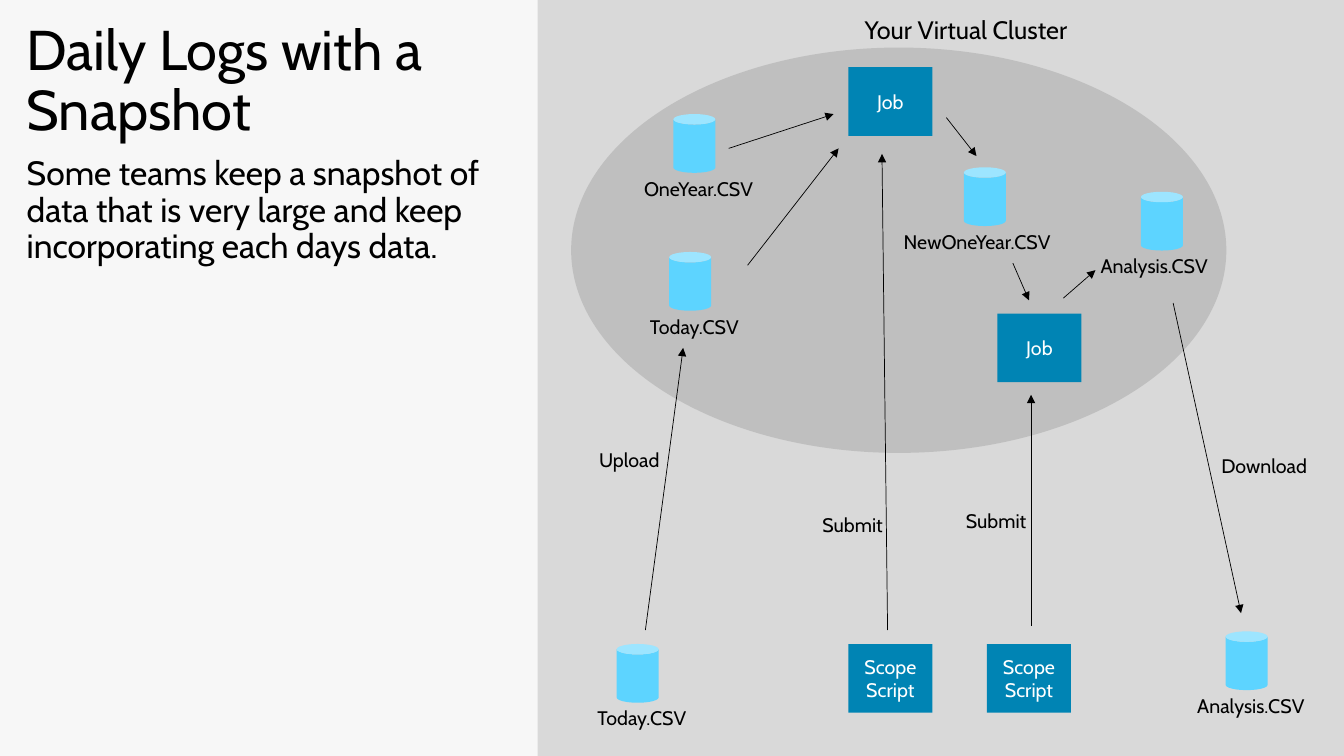
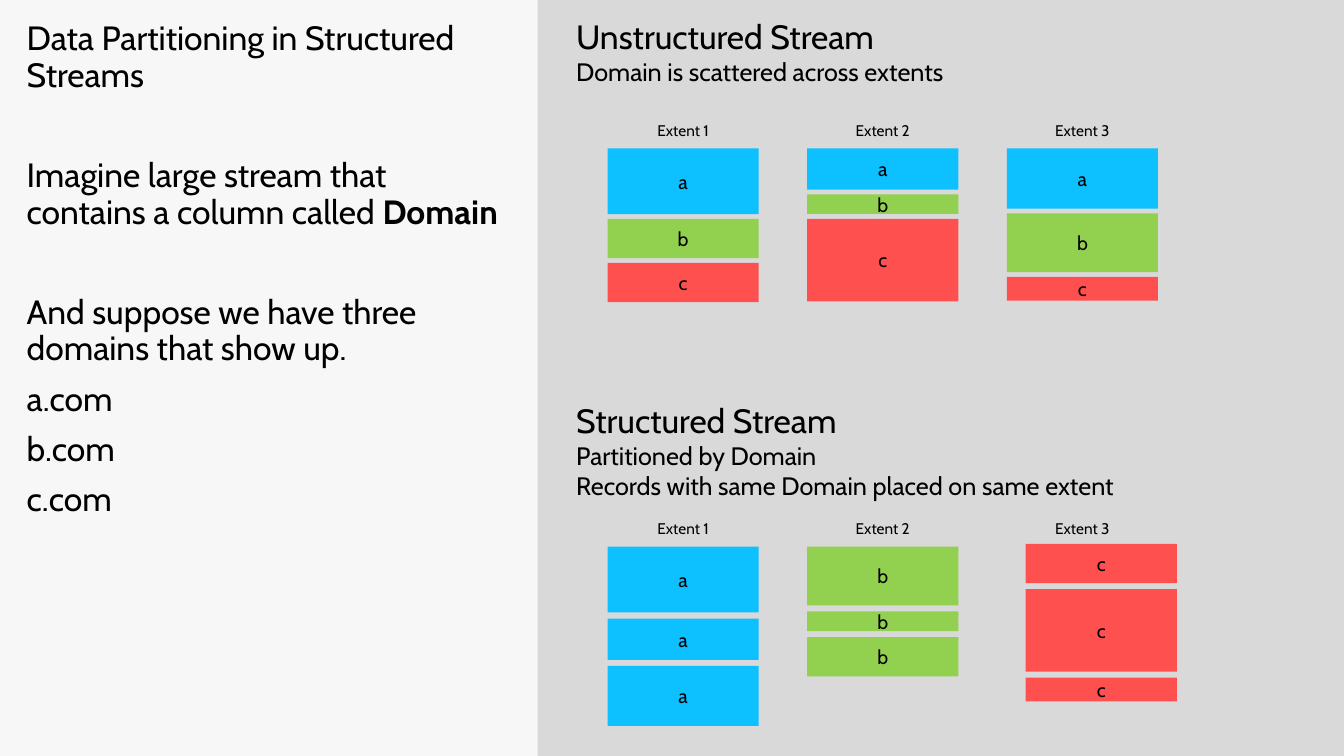
from pptx import Presentation
from pptx.dml.color import RGBColor
from pptx.enum.shapes import MSO_CONNECTOR, MSO_SHAPE as SHAPE
from pptx.enum.text import MSO_ANCHOR as ANCHOR, PP_ALIGN as ALIGN
from pptx.oxml.ns import qn
from pptx.util import Pt

FONT = "Cabin"
COLORS = {
    "page": "F7F7F7", "panel": "D9D9D9", "cluster": "BFBFBF", "store": "5DD4FF",
    "job": "0084B4", "text": "000000", "light": "FFFFFF",
    "a": "0DC0FF", "b": "92D050", "c": "FF5050",
}
WIDTH, HEIGHT = 960, 540
PANEL_X = 384
# Heights of each domain's pieces, as scattered over the three extents
PIECES = {"a": (47, 29.5, 43), "b": (28, 14, 42), "c": (28, 59, 17)}


def rgb(name):
    return RGBColor.from_string(COLORS[name])


def format_paragraph(p, size, color="text", align=ALIGN.LEFT):
    p.alignment = align
    for r in p.runs:
        r.font.size = Pt(size)
        r.font.name = FONT
        r.font.color.rgb = rgb(color)


def add_text(sl, x, y, w, h, lines, anchor=ANCHOR.TOP, align=ALIGN.LEFT):
    """Add a text box from (text, size) lines and return its paragraphs."""
    tf = sl.shapes.add_textbox(Pt(x), Pt(y), Pt(w), Pt(h)).text_frame
    tf.word_wrap = True
    tf.vertical_anchor = anchor
    tf.text = "\n".join(text for text, _ in lines)
    for p, (_, size) in zip(tf.paragraphs, lines):
        format_paragraph(p, size, align=align)
    return tf.paragraphs


def add_label(sl, center, y, text, size=14, w=140, h=30):
    add_text(sl, center - w / 2, y, w, h, [(text, size)], ANCHOR.MIDDLE, ALIGN.CENTER)


def add_block(sl, kind, x, y, w, h, fill, text="", color="text"):
    sp = sl.shapes.add_shape(kind, Pt(x), Pt(y), Pt(w), Pt(h))
    sp.shadow.inherit = False
    sp.fill.solid()
    sp.fill.fore_color.rgb = rgb(fill)
    sp.line.fill.background()
    if text:
        tf = sp.text_frame
        tf.margin_top = tf.margin_bottom = 0
        tf.word_wrap = True
        tf.vertical_anchor = ANCHOR.MIDDLE
        tf.text = text
        format_paragraph(tf.paragraphs[0], 14, color, ALIGN.CENTER)


def add_arrow(sl, x1, y1, x2, y2):
    line = sl.shapes.add_connector(MSO_CONNECTOR.STRAIGHT, Pt(x1), Pt(y1), Pt(x2), Pt(y2))
    line.line.color.rgb = rgb("text")
    line.line.width = Pt(0.5)
    ln = line.line._get_or_add_ln()
    ln.append(ln.makeelement(qn("a:tailEnd"), {"type": "triangle"}))
    ln.addnext(ln.makeelement(qn("a:effectLst"), {}))


def add_store(sl, x, y, name, label_shift=3):
    add_block(sl, SHAPE.CAN, x, y, 30, 42, "store")
    add_label(sl, x + 15 + label_shift, y + 38, name)


def new_slide(prs):
    sl = prs.slides.add_slide(prs.slide_layouts[6])
    add_block(sl, SHAPE.RECTANGLE, PANEL_X, 0, WIDTH - PANEL_X, HEIGHT, "panel")
    return sl


def add_side_text(sl, lines, gaps):
    """Fill the left column; gaps holds the space before each paragraph."""
    paragraphs = add_text(sl, 12, 12, 354, 516, lines)
    for p, gap in zip(paragraphs, gaps):
        p.line_spacing = 0.9
        p.space_before = Pt(gap)
    return paragraphs


def add_cluster_diagram(sl, x, y):
    add_block(sl, SHAPE.OVAL, x + 24, y + 34, 468, 289.5, "cluster")
    add_label(sl, x + 306, y + 6, "Your Virtual Cluster", 18, 170)

    for dx, dy, name, shift in (
        (97, 81.5, "OneYear.CSV", 3),
        (94, 180, "Today.CSV", 3),
        (56.5, 460, "Today.CSV", 3),
        (304.5, 119.5, "NewOneYear.CSV", -5.5),
        (431, 137, "Analysis.CSV", -5.5),
        (491.5, 451, "Analysis.CSV", 3),
    ):
        add_store(sl, x + dx, y + dy, name, shift)

    for dx, dy, text in (
        (222, 48, "Job"),
        (328.5, 224, "Job"),
        (222, 460, "Scope Script"),
        (321, 460, "Scope Script"),
    ):
        add_block(sl, SHAPE.RECTANGLE, x + dx, y + dy, 60, 49, "job", text, "light")

    for x1, y1, x2, y2 in (
        (77, 450, 104, 248.5),
        (250, 450, 246, 110),
        (352.5, 447, 352.5, 282),
        (136.5, 106, 211.5, 81.5),
        (150, 189.5, 215, 106),
        (292, 84, 313.5, 111.5),
        (339.5, 188, 351, 214.5),
        (375.5, 213, 398.5, 193),
        (454, 216.5, 502.5, 438),
    ):
        add_arrow(sl, x + x1, y + y1, x + x2, y + y2)

    for center, dy, text in (
        (65.5, 313, "Upload"),
        (225, 360, "Submit"),
        (327.5, 357, "Submit"),
        (519, 318, "Download"),
    ):
        add_label(sl, x + center, y + dy, text)


def add_stream(sl, x, y, title, notes, extents, extents_y, gap, last_shift=(0, 0)):
    """Place a heading and three columns of (domain, piece) blocks."""
    lines = [(title, 24)] + [(note, 18) for note in notes]
    add_text(sl, x, y, 431, extents_y, lines)
    width, pitch = 108, 142.6
    for i, extent in enumerate(extents):
        left = x + 29.5 + i * pitch
        add_label(sl, left + width / 2, y + extents_y, f"Extent {i + 1}", 11, width, 16.5)
        top = y + extents_y + 21
        if i == len(extents) - 1:
            left, top = left + last_shift[0], top + last_shift[1]
        for domain, piece in extent:
            h = PIECES[domain][piece]
            add_block(sl, SHAPE.RECTANGLE, left, top, width, h, domain, domain)
            top += h + gap


def daily_logs_slide(prs):
    sl = new_slide(prs)
    add_cluster_diagram(sl, PANEL_X, 0)
    add_side_text(sl, [
        ("Daily Logs with a Snapshot", 40),
        ("Some teams keep a snapshot of data that is very large and keep "
         "incorporating each days data.", 24),
    ], (0, 10))


def partitioning_slide(prs):
    sl = new_slide(prs)
    texts = (
        "Data Partitioning in Structured Streams",
        "Imagine large stream that contains a column called ",
        "And suppose we have three domains that show up.",
        "a.com", "b.com", "c.com",
    )
    paragraphs = add_side_text(sl, [(text, 24) for text in texts], (0, 46, 46, 10, 10, 10))
    r = paragraphs[1].add_run()
    r.text = "Domain"
    format_paragraph(paragraphs[1], 24)
    r.font.bold = True

    x = PANEL_X + 20.5
    scattered = [[(domain, i) for domain in PIECES] for i in range(3)]
    orders = {"a": (0, 1, 2), "b": (2, 1, 0), "c": (0, 1, 2)}
    partitioned = [[(domain, i) for i in order] for domain, order in orders.items()]
    add_stream(sl, x, 8, "Unstructured Stream", ["Domain is scattered across extents"],
               scattered, 77, 3.4)
    add_stream(sl, x, 282, "Structured Stream",
               ["Partitioned by Domain", "Records with same Domain placed on same extent"],
               partitioned, 87.5, 4.3, (13.5, -2))


def main():
    prs = Presentation()
    prs.slide_width, prs.slide_height = Pt(WIDTH), Pt(HEIGHT)
    fill = prs.slide_master.background.fill
    fill.solid()
    fill.fore_color.rgb = rgb("page")
    daily_logs_slide(prs)
    partitioning_slide(prs)
    prs.save("out.pptx")


if __name__ == "__main__":
    main()
